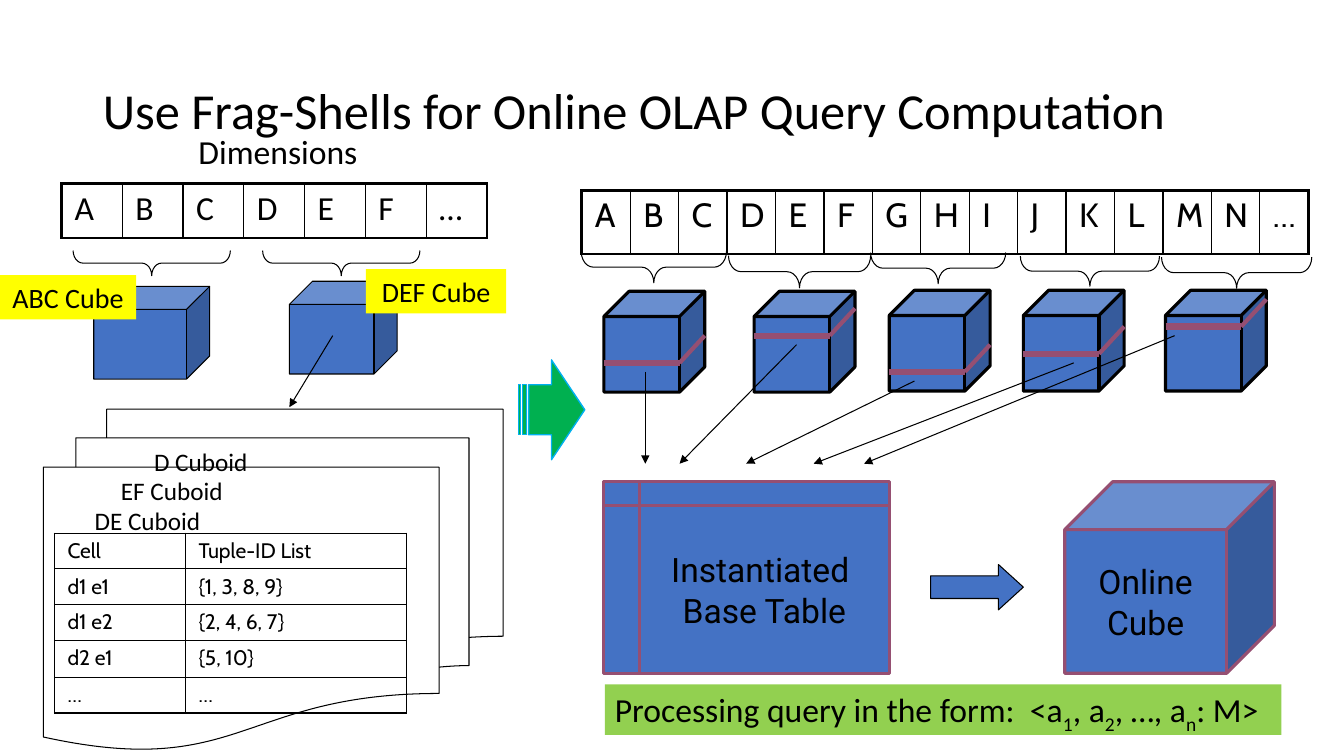
from lxml import etree
from pptx import Presentation
from pptx.dml.color import RGBColor
from pptx.enum.shapes import MSO_CONNECTOR, MSO_SHAPE
from pptx.enum.text import MSO_ANCHOR, MSO_AUTO_SIZE, PP_ALIGN
from pptx.oxml.ns import qn
from pptx.util import Inches, Pt

LEFT, CENTER = PP_ALIGN.LEFT, PP_ALIGN.CENTER
TOP, MIDDLE = MSO_ANCHOR.TOP, MSO_ANCHOR.MIDDLE
NO_AUTOFIT = MSO_AUTO_SIZE.NONE
STRAIGHT = MSO_CONNECTOR.STRAIGHT
BRACE, CUBE, RECTANGLE = MSO_SHAPE.LEFT_BRACE, MSO_SHAPE.CUBE, MSO_SHAPE.RECTANGLE
DOCUMENTS = MSO_SHAPE.FLOWCHART_MULTIDOCUMENT
STORAGE = MSO_SHAPE.FLOWCHART_INTERNAL_STORAGE
RIGHT_ARROW, STRIPED_ARROW = MSO_SHAPE.RIGHT_ARROW, MSO_SHAPE.STRIPED_RIGHT_ARROW

BLACK, BLUE, PLUM, YELLOW = "000000", "4472C4", "954F72", "FFFF00"
GREEN, LIME, SKY = "00B050", "92D050", "00B0F0"


def color(value):
    """Turn a hex string into a colour."""
    return RGBColor.from_string(value)


class SlideBuilder:
    """Draws styled elements on one slide."""

    def __init__(self, slide):
        self.slide = slide
        self.font = "Calibri"

    def style(self, paragraph, size, font=None, align=LEFT):
        """Format a whole paragraph."""
        paragraph.alignment = align
        paragraph.font.size = Pt(size)
        paragraph.font.name = font or self.font
        paragraph.font.color.rgb = color(BLACK)

    def fill_text(self, frame, lines, size, font=None, align=LEFT, anchor=TOP, wrap=True):
        """Fill a text frame; a line is a string or a list of (text, baseline) runs."""
        frame.word_wrap = wrap
        frame.auto_size = NO_AUTOFIT
        frame.vertical_anchor = anchor
        for index, line in enumerate(lines):
            paragraph = frame.add_paragraph() if index else frame.paragraphs[0]
            for text, baseline in [(line, 0)] if isinstance(line, str) else line:
                run = paragraph.add_run()
                run.text = text
                if baseline:
                    run._r.get_or_add_rPr().set("baseline", str(baseline))
            self.style(paragraph, size, font, align)

    def title(self, text, left, top, width, height):
        """Place and format the title placeholder."""
        title = self.slide.shapes.title
        title.left, title.top = Inches(left), Inches(top)
        title.width, title.height = Inches(width), Inches(height)
        self.fill_text(title.text_frame, [text], 36, anchor=MIDDLE)
        title.text_frame.paragraphs[0].line_spacing = 0.9

    def label(self, text, left, top, width, height, size):
        """Add a plain text box."""
        box = self.slide.shapes.add_textbox(Inches(left), Inches(top), Inches(width), Inches(height))
        self.fill_text(box.text_frame, [text], size)

    def shape(self, kind, left, top, width, height, fill=None, line=BLACK, weight=0.75):
        """Add a preset shape without shadow."""
        shape = self.slide.shapes.add_shape(
            kind, Inches(left), Inches(top), Inches(width), Inches(height))
        shape.shadow.inherit = False
        if fill:
            shape.fill.solid()
            shape.fill.fore_color.rgb = color(fill)
        else:
            shape.fill.background()
        if line:
            shape.line.color.rgb = color(line)
            shape.line.width = Pt(weight)
        else:
            shape.line.fill.background()
        return shape

    def brace(self, left, top, width, height):
        """Add a brace that opens upwards."""
        brace = self.shape(BRACE, left, top, width, height)
        brace.rotation = 270
        brace.adjustments[0] = 0.389

    def line(self, start, end, stroke=BLACK, weight=0.75, arrow=False):
        """Add a straight line, with an arrowhead at its end on request."""
        line = self.slide.shapes.add_connector(STRAIGHT, *map(Inches, start + end))
        line.line.color.rgb = color(stroke)
        line.line.width = Pt(weight)
        if arrow:
            etree.SubElement(line.line._get_or_add_ln(), qn("a:tailEnd"), type="triangle")
        etree.SubElement(line._element.spPr, qn("a:effectLst"))

    def border(self, cell, side, weight):
        """Draw one black cell border."""
        properties = cell._tc.get_or_add_tcPr()
        line = etree.SubElement(properties, qn(f"a:ln{side}"), w=str(Pt(weight)))
        fill = etree.SubElement(line, qn("a:solidFill"))
        etree.SubElement(fill, qn("a:srgbClr"), val=BLACK)

    def table(self, rows, left, top, widths, heights, size, font=None, frame=1):
        """Add an unfilled table with thin inner lines and a frame."""
        shape = self.slide.shapes.add_table(
            len(rows), len(widths), Inches(left), Inches(top),
            Inches(sum(widths)), Inches(sum(heights)))
        table = shape.table
        table.first_row = table.horz_banding = False
        for column, width in zip(table.columns, widths):
            column.width = Inches(width)
        for row, height in zip(table.rows, heights):
            row.height = Inches(height)
        last_row, last_column = len(rows) - 1, len(widths) - 1
        for i, texts in enumerate(rows):
            for j, text in enumerate(texts):
                cell = table.cell(i, j)
                outer = {"L": j == 0, "R": j == last_column, "T": i == 0, "B": i == last_row}
                for side, on_frame in outer.items():
                    self.border(cell, side, frame if on_frame else 1)
                cell.fill.background()
                cell.margin_left = cell.margin_right = Inches(0.13)
                cell.margin_top = cell.margin_bottom = Inches(0.05)
                paragraph = cell.text_frame.paragraphs[0]
                paragraph.add_run().text = text
                self.style(paragraph, size, font)


def draw_fragments(builder):
    """Draw the dimensions, their two cubes and the cuboid tables."""
    builder.table([list("ABCDEF…")], 0.61, 1.82, [4.22 / 7] * 7, [0.54], 24, frame=2.25)
    for left in (1.38, 3.26):
        builder.brace(left, 1.83, 0.25, 1.56)
    builder.shape(CUBE, 0.93, 2.84, 1.15, 0.92, BLUE)
    builder.shape(CUBE, 2.87, 2.79, 1.07, 0.92, BLUE)
    for text, left, top, width in (("ABC Cube", 0, 2.73, 1.35), ("DEF Cube", 3.63, 2.67, 1.39)):
        tag = builder.shape(RECTANGLE, left, top, width, 0.44, YELLOW, None)
        builder.fill_text(tag.text_frame, [text], 20, align=CENTER)
    builder.line((3.3, 3.33), (2.87, 4.04), arrow=True)
    builder.shape(DOCUMENTS, 0.43, 4.06, 4.56, 3.38)
    cuboids = (("D Cuboid", 1.43, 1.14), ("EF Cuboid", 1.1, 1.22), ("DE Cuboid", 0.84, 1.26))
    for index, (text, left, width) in enumerate(cuboids):
        builder.label(text, left, 4.38 + 0.29 * index, width, 0.4, 18)
    tuples = [("Cell", "Tuple-ID List"), ("d1 e1", "{1, 3, 8, 9}"),
              ("d1 e2", "{2, 4, 6, 7}"), ("d2 e1", "{5, 10}"), ("…", "…")]
    builder.table(tuples, 0.54, 5.29, [1.3, 2.19], [0.35, 0.35, 0.35, 0.37, 0.35], 15, "Cabin")
    builder.label("Dimensions", 1.87, 1.25, 1.79, 0.5, 24)


def draw_query(builder):
    """Draw the cubes that feed the base table and the online cube."""
    builder.table([list("ABCDEFGHIJKLMN…")], 5.77, 1.89, [7.21 / 15] * 15, [0.63], 24, "Cabin", 2.25)
    for brace in ((6.33, 1.93, 0.31, 1.44), (7.77, 1.99, 0.32, 1.41), (9.15, 1.99, 0.31, 1.34),
                  (10.66, 2, 0.3, 1.38), (12.11, 1.96, 0.31, 1.49)):
        builder.brace(*brace)
    slices = ((5.99, 2.89, 3.6), (7.48, 2.89, 3.33), (8.82, 2.88, 3.69),
              (10.15, 2.88, 3.51), (11.56, 2.88, 3.24))
    for left, top, band in slices:
        builder.shape(CUBE, left, top, 1, 1, BLUE, BLACK, 2.25)
        corner = (left + 0.75, band)
        builder.line((left, band), corner, PLUM, 4.5)
        builder.line(corner, (left + 1, band - 0.27), PLUM, 3)
    online = builder.shape(CUBE, 10.56, 4.78, 2.08, 1.9, BLUE, PLUM, 2.25)
    arrow = builder.shape(RIGHT_ARROW, 9.23, 5.6, 0.92, 0.45, BLUE)
    arrow.adjustments[1] = 0.55
    base = builder.shape(STORAGE, 5.99, 4.78, 2.83, 1.9, BLUE, PLUM, 2.25)
    for shape, lines in ((online, ["Online", "Cube"]), (base, ["Instantiated ", "Base Table"])):
        builder.fill_text(shape.text_frame, lines, 24, "Roboto", CENTER, MIDDLE, False)
    for start, end in (((6.4, 3.69), 6.4), ((7.9, 3.42), 6.74), ((9.07, 3.78), 7.4),
                       ((10.65, 3.6), 8.07), ((11.65, 3.33), 8.57)):
        builder.line(start, (end, 4.6), arrow=True)
    builder.shape(STRIPED_ARROW, 5.14, 3.57, 0.66, 0.99, GREEN, SKY, 1)
    query = builder.shape(RECTANGLE, 6, 6.79, 6.71, 0.5, LIME, None)
    form = [("Processing query in the form:  <a", 0), ("1", -25000), (", a", 0), ("2", -25000),
            (", …, a", 0), ("n", -25000), (": M>", 0)]
    builder.fill_text(query.text_frame, [form], 24)


def main():
    """Build and save the slide."""
    presentation = Presentation()
    presentation.slide_width, presentation.slide_height = Inches(13.33), Inches(7.5)
    builder = SlideBuilder(presentation.slides.add_slide(presentation.slide_layouts[5]))
    builder.title("Use Frag-Shells for Online OLAP Query Computation", 0.92, 0.4, 11.5, 1.45)
    draw_fragments(builder)
    draw_query(builder)
    presentation.save("out.pptx")


if __name__ == "__main__":
    main()
